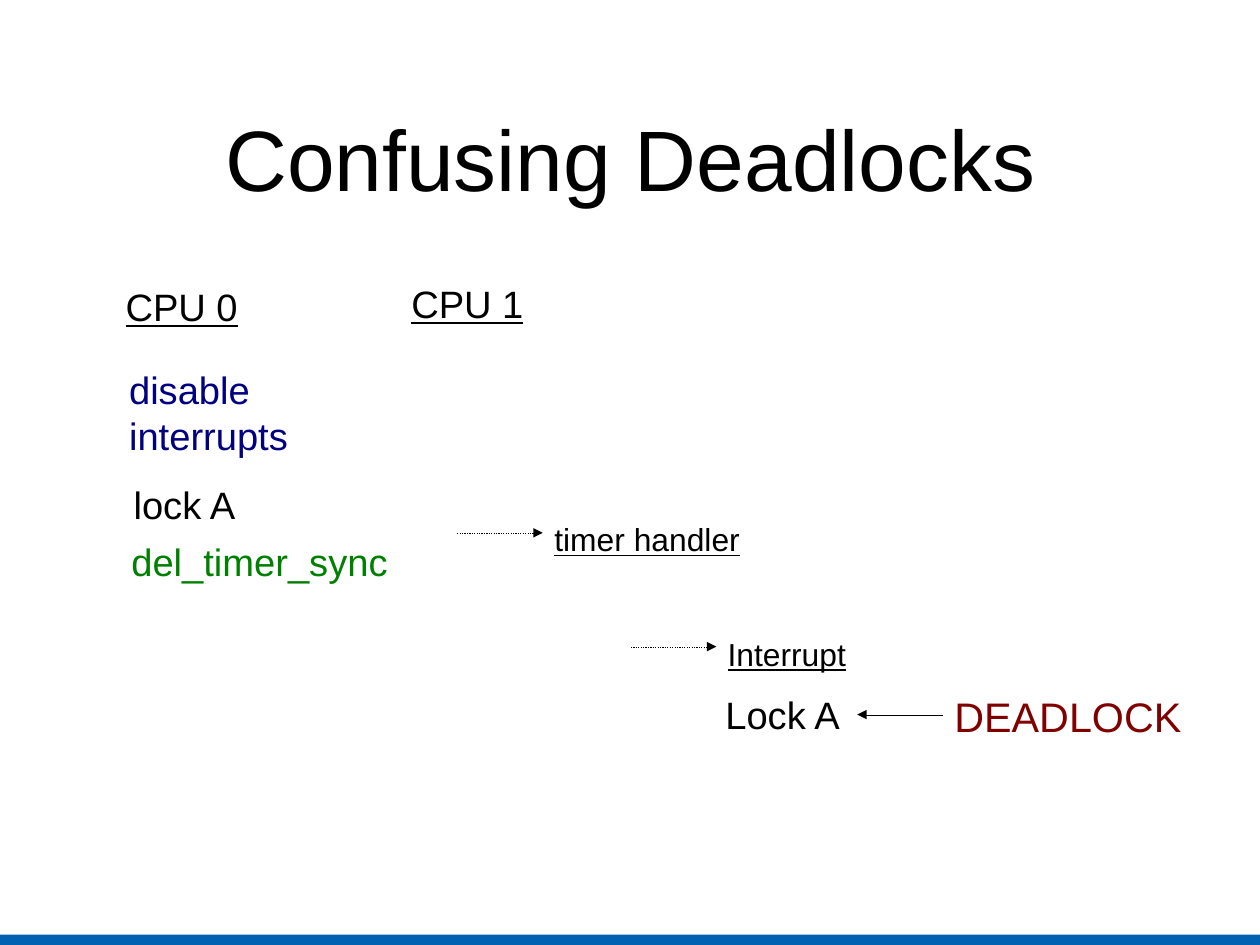
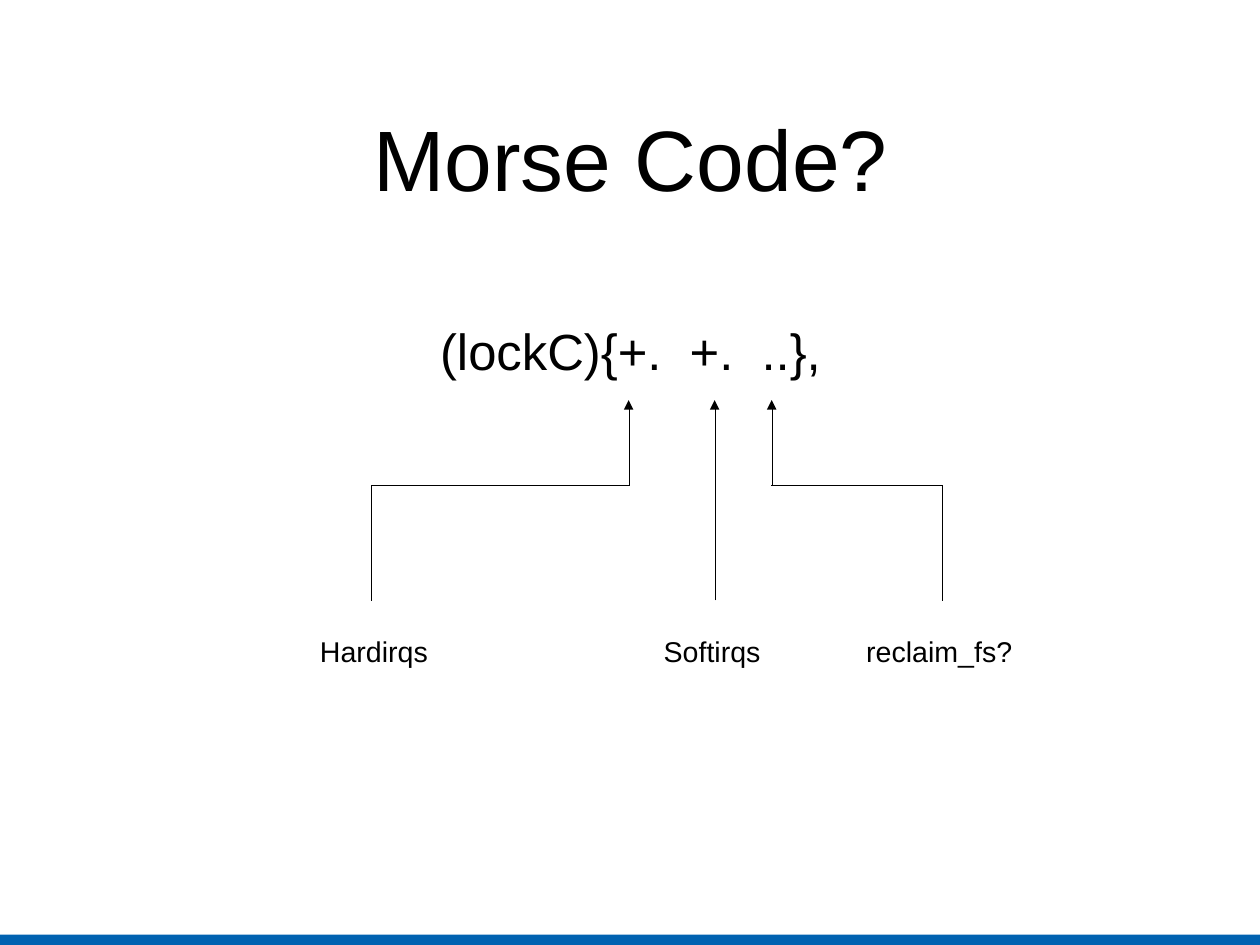
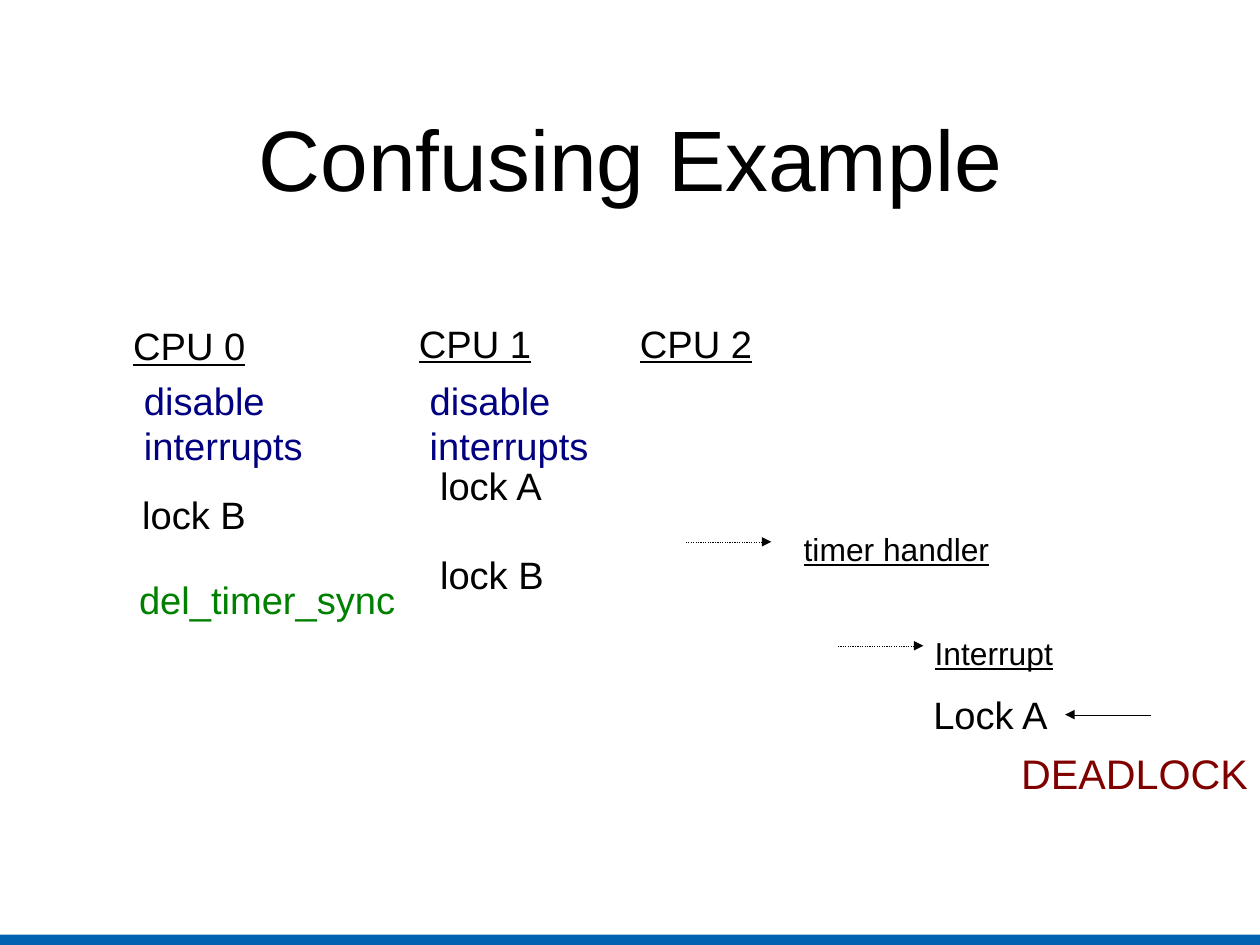
from dataclasses import dataclass
from lxml import etree
from pptx import Presentation
from pptx.dml.color import RGBColor
from pptx.enum.dml import MSO_LINE_DASH_STYLE as Dash
from pptx.enum.shapes import MSO_CONNECTOR as Connector, MSO_SHAPE as Shape
from pptx.enum.text import MSO_ANCHOR as Anchor, MSO_AUTO_SIZE as AutoSize, PP_ALIGN as Align
from pptx.oxml.ns import qn
from pptx.util import Cm, Pt


@dataclass(frozen=True)
class Theme:
    font: str = "Arial"
    black: str = "000000"
    blue: str = "000080"
    green: str = "008000"
    red: str = "800000"
    band: str = "0062B1"
    title: int = 54
    formula: int = 32
    alert: int = 26
    step: int = 24
    event: int = 20
    label: int = 18


THEME = Theme()
PAGE_WIDTH, PAGE_HEIGHT, BAND_HEIGHT = 28, 21, 0.23
ARROW_LENGTH = 1.9

CPU = dict(width=3.2, height=1.22, underline=True)
STEP = dict(width=3.2, height=1.22)
DISABLE = dict(width=4.3, height=2.13, color=THEME.blue)
SYNC = dict(width=6.4, height=1.27, color=THEME.green)
TIMER = dict(width=5, height=1.04, size=THEME.event, underline=True)
INTERRUPT = dict(TIMER, width=3.5)
LOCK = dict(width=3.2, height=1.19)
DEADLOCK = dict(width=5.56, height=1.27, size=THEME.alert, color=THEME.red)

DEADLOCKS = dict(
    title="Confusing Deadlocks",
    steps=[
        ("CPU 0", 2.54, 6.17, CPU),
        ("disable\ninterrupts", 2.62, 8.02, DISABLE),
        ("lock A", 2.72, 10.56, STEP),
        ("del_timer_sync", 2.67, 11.84, SYNC),
        ("CPU 1", 8.89, 6.11, CPU),
        ("timer handler", 12.07, 11.43, TIMER),
        ("Interrupt", 15.92, 13.97, INTERRUPT),
        ("Lock A", 15.87, 15.24, LOCK),
        ("DEADLOCK", 20.96, 15.24, DEADLOCK),
    ],
    triggers=[(10.16, 11.84), (14.02, 14.37)],
    blame=(20.95, 15.88),
)
EXAMPLE = dict(
    title="Confusing Example",
    steps=[
        ("CPU 0", 2.71, 7.04, CPU),
        ("disable\ninterrupts", 2.95, 8.25, DISABLE),
        ("lock B", 2.91, 10.8, STEP),
        ("del_timer_sync", 2.84, 12.69, SYNC),
        ("CPU 1", 9.06, 6.98, CPU),
        ("disable\ninterrupts", 9.3, 8.25, DISABLE),
        ("lock A", 9.53, 10.15, STEP),
        ("lock B", 9.53, 12.12, STEP),
        ("CPU 2", 13.97, 6.98, CPU),
        ("timer handler", 17.61, 11.65, TIMER),
        ("Interrupt", 20.52, 13.96, INTERRUPT),
        ("Lock A", 20.49, 15.24, LOCK),
        ("DEADLOCK", 22.44, 16.5, DEADLOCK),
    ],
    triggers=[(15.24, 12.04), (18.62, 14.35)],
    blame=(25.57, 15.88),
)
MORSE = dict(
    title="Morse Code?",
    formula="(lockC){+.  +.  ..},",
    callouts=[
        ("Hardirqs", 6.86, 3.2, 8.26, 13.97),
        ("Softirqs", 14.5, 3, 15.88, 15.88),
        ("reclaim_fs?", 19, 4.1, 20.95, 17.15),
    ],
)
TIP_TOP, BEND_TOP, FOOT_TOP, LABEL_TOP = 8.89, 10.79, 13.34, 13.96


def add_text(page, text, left, top, width, height, size=THEME.step, color=THEME.black,
             underline=False, align=Align.LEFT, anchor=Anchor.TOP, inset=(0.25, 0.13)):
    box = page.shapes.add_textbox(Cm(left), Cm(top), Cm(width), Cm(height))
    frame = box.text_frame
    frame.word_wrap = True
    frame.auto_size = AutoSize.SHAPE_TO_FIT_TEXT
    frame.vertical_anchor = anchor
    frame.margin_left = frame.margin_right = Cm(inset[0])
    frame.margin_top = frame.margin_bottom = Cm(inset[1])
    frame.text = text
    for para in frame.paragraphs:
        para.alignment = align
        for span in para.runs:
            span.font.name = THEME.font
            span.font.size = Pt(size)
            span.font.color.rgb = RGBColor.from_string(color)
            span.font.underline = underline


def add_line(page, start, end, arrow=False, dotted=False):
    link = page.shapes.add_connector(Connector.STRAIGHT, *map(Cm, start + end))
    link.line.color.rgb = RGBColor.from_string(THEME.black)
    if dotted:
        link.line.dash_style = Dash.ROUND_DOT
    outline = link.line._get_or_add_ln()
    outline.set("w", "0")
    if arrow:
        etree.SubElement(outline, qn("a:tailEnd"), type="triangle")
    etree.SubElement(link._element.spPr, qn("a:effectLst"))


def add_page(deck, title):
    page = deck.slides.add_slide(deck.slide_layouts[6])
    band = page.shapes.add_shape(Shape.RECTANGLE, 0, Cm(PAGE_HEIGHT - BAND_HEIGHT),
                                 Cm(PAGE_WIDTH), Cm(BAND_HEIGHT))
    band.shadow.inherit = False
    band.fill.solid()
    band.fill.fore_color.rgb = RGBColor.from_string(THEME.band)
    band.line.fill.background()
    add_text(page, title, 2.06, 1.88, 23.9, 3.25, size=THEME.title,
             align=Align.CENTER, anchor=Anchor.MIDDLE, inset=(0, 0))
    return page


def add_timeline(deck, timeline):
    page = add_page(deck, timeline["title"])
    for text, left, top, style in timeline["steps"]:
        add_text(page, text, left, top, **style)
    for left, top in timeline["triggers"]:
        add_line(page, (left, top), (left + ARROW_LENGTH, top), arrow=True, dotted=True)
    right, top = timeline["blame"]
    add_line(page, (right, top), (right - ARROW_LENGTH, top), arrow=True)


def add_morse(deck, morse):
    page = add_page(deck, morse["title"])
    add_text(page, morse["formula"], 9.53, 6.98, 9.53, 1.52, size=THEME.formula)
    for text, left, width, foot, tip in morse["callouts"]:
        add_text(page, text, left, LABEL_TOP, width, 0.97, size=THEME.label)
        stem_top = FOOT_TOP
        if foot != tip:
            stem_top = BEND_TOP
            add_line(page, (foot, FOOT_TOP), (foot, BEND_TOP))
            add_line(page, (foot, BEND_TOP), (tip, BEND_TOP))
        add_line(page, (tip, stem_top), (tip, TIP_TOP), arrow=True)


def main():
    deck = Presentation()
    deck.slide_width, deck.slide_height = Cm(PAGE_WIDTH), Cm(PAGE_HEIGHT)
    add_timeline(deck, DEADLOCKS)
    add_morse(deck, MORSE)
    add_timeline(deck, EXAMPLE)
    deck.save("out.pptx")


if __name__ == "__main__":
    main()
